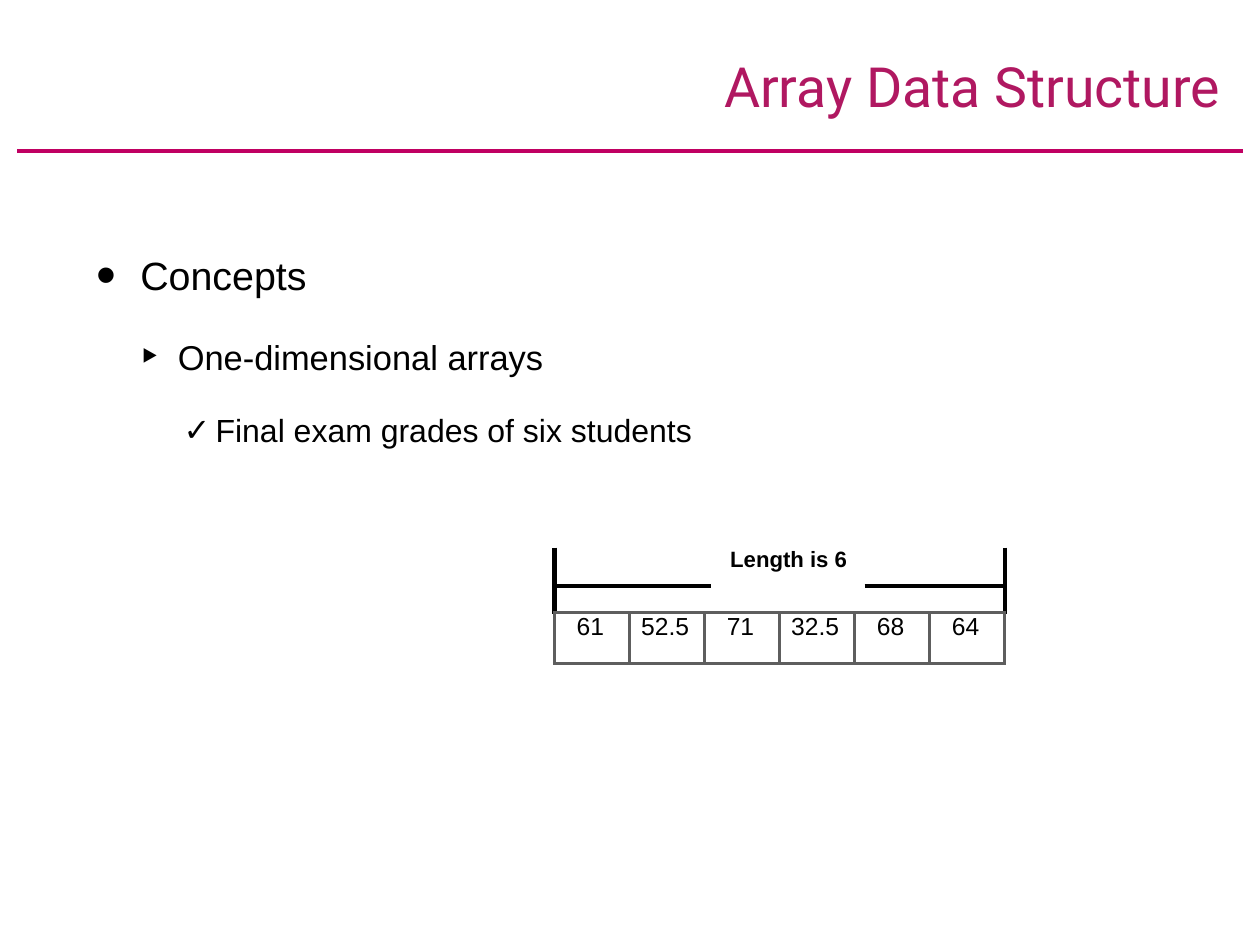
from lxml.etree import SubElement
from pptx import Presentation
from pptx.dml.color import RGBColor
from pptx.enum.shapes import MSO_CONNECTOR
from pptx.enum.text import MSO_ANCHOR, MSO_AUTO_SIZE, PP_ALIGN
from pptx.oxml.ns import qn
from pptx.util import Pt

BLACK = RGBColor(0, 0, 0)
GREY = RGBColor(0x5E, 0x5E, 0x5E)
TITLE_COLOR = RGBColor(0xB0, 0x18, 0x61)
RULE_COLOR = RGBColor(0xC0, 0x00, 0x62)

TITLE = "Array Data Structure"
# text, size, left indent, hanging indent, space before, bullet, bullet size %
OUTLINE = [
    ("Concepts", 32, 36, 35.3, 0, "•", 144),
    ("One-dimensional arrays", 28, 66.5, 30.5, 30.6, "‣", 145),
    ("Final exam grades of six students", 26, 97.2, 26, 26.9, "✓", 100),
]
LENGTH_LABEL = "Length is 6"
# first column, last column, grade
GRADES = [(0, 0, "61"), (1, 1, "52.5"), (2, 3, "71"),
          (4, 4, "32.5"), (5, 6, "68"), (7, 7, "64")]
COL_WIDTHS = [61, 61, 5, 56, 61, 8, 53, 61]
ROW_HEIGHTS = [31, 22, 41]
BLACK_LINE, GREY_LINE = (BLACK, 4), (GREY, 3)


def write(p, text, size, color=BLACK, font="Arial", bold=False, left=0, hang=0,
          before=0, bullet=None, bullet_size=100):
    pPr = p._p.get_or_add_pPr()
    pPr.set("marL", str(Pt(left)))
    pPr.set("indent", str(-Pt(hang)))
    p.alignment = PP_ALIGN.LEFT
    p.space_before = Pt(before)
    if bullet:
        SubElement(pPr, qn("a:buSzPct"), val=str(bullet_size * 1000))
        SubElement(pPr, qn("a:buFont"), typeface=font)
        SubElement(pPr, qn("a:buChar"), char=bullet)
    r = p.add_run()
    r.text = text
    r.font.size, r.font.name, r.font.bold = Pt(size), font, bold
    r.font.color.rgb = color


def clear_frame(tf):
    """Remove margins and automatic fitting from a text frame."""
    tf.margin_left = tf.margin_right = tf.margin_top = tf.margin_bottom = 0
    tf.word_wrap = True
    tf.auto_size = MSO_AUTO_SIZE.NONE
    tf.vertical_anchor = MSO_ANCHOR.TOP


def set_cell(cell, **borders):
    """Clear fill and margins; draw the given l, r, t, b borders only."""
    cell.margin_left = cell.margin_right = cell.margin_top = cell.margin_bottom = 0
    tcPr = cell._tc.get_or_add_tcPr()
    for side in "lrtb":
        ln = SubElement(tcPr, qn("a:ln" + side.upper()))
        if side in borders:
            color, width = borders[side]
            ln.set("w", str(Pt(width)))
            fill = SubElement(ln, qn("a:solidFill"))
            SubElement(fill, qn("a:srgbClr"), val=str(color))
        else:
            SubElement(ln, qn("a:noFill"))
    cell.fill.background()


def merged(table, row, col, last_row, last_col):
    cell = table.cell(row, col)
    if (row, col) != (last_row, last_col):
        cell.merge(table.cell(last_row, last_col))
    return cell


def add_array(s):
    frame = s.shapes.add_table(len(ROW_HEIGHTS), len(COL_WIDTHS), Pt(450.7), Pt(445),
                               Pt(sum(COL_WIDTHS)), Pt(sum(ROW_HEIGHTS)))
    table = frame.table
    table.first_row = table.horz_banding = False
    for col, width in zip(table.columns, COL_WIDTHS):
        col.width = Pt(width)
    for row, height in zip(table.rows, ROW_HEIGHTS):
        row.height = Pt(height)

    for first, last, edge in ((0, 2, "l"), (6, 7, "r")):
        set_cell(merged(table, 0, first, 0, last), **{edge: BLACK_LINE}, b=BLACK_LINE)
        set_cell(merged(table, 1, first, 1, last), **{edge: BLACK_LINE},
                 t=BLACK_LINE, b=GREY_LINE)
    label = merged(table, 0, 3, 1, 5)
    set_cell(label, b=GREY_LINE)
    write(label.text_frame.paragraphs[0], LENGTH_LABEL, 18, bold=True, left=15.8)

    for first, last, grade in GRADES:
        cell = merged(table, 2, first, 2, last)
        set_cell(cell, **dict.fromkeys("lrtb", GREY_LINE))
        write(cell.text_frame.paragraphs[0], grade, 20, left=18 if len(grade) == 2 else 9.4)


def main():
    prs = Presentation()
    prs.slide_width, prs.slide_height = Pt(1024), Pt(768)
    s = prs.slides.add_slide(prs.slide_layouts[5])

    title = s.shapes.title
    title.left, title.top, title.width, title.height = Pt(24), Pt(42), Pt(976), Pt(45)
    clear_frame(title.text_frame)
    write(title.text_frame.paragraphs[0], TITLE, 45, color=TITLE_COLOR,
          font="Roboto", left=564.5)

    rule = s.shapes.add_connector(MSO_CONNECTOR.STRAIGHT, Pt(14), Pt(123), Pt(1010), Pt(123))
    rule.line.color.rgb, rule.line.width = RULE_COLOR, Pt(3)
    SubElement(rule._element.spPr, qn("a:effectLst"))

    tf = s.shapes.add_textbox(Pt(78), Pt(204.5), Pt(488), Pt(163)).text_frame
    clear_frame(tf)
    for i, (text, size, left, hang, before, bullet, bullet_size) in enumerate(OUTLINE):
        p = tf.add_paragraph() if i else tf.paragraphs[0]
        p.level = i
        write(p, text, size, left=left, hang=hang, before=before,
              bullet=bullet, bullet_size=bullet_size)

    add_array(s)
    prs.save("out.pptx")


if __name__ == "__main__":
    main()
